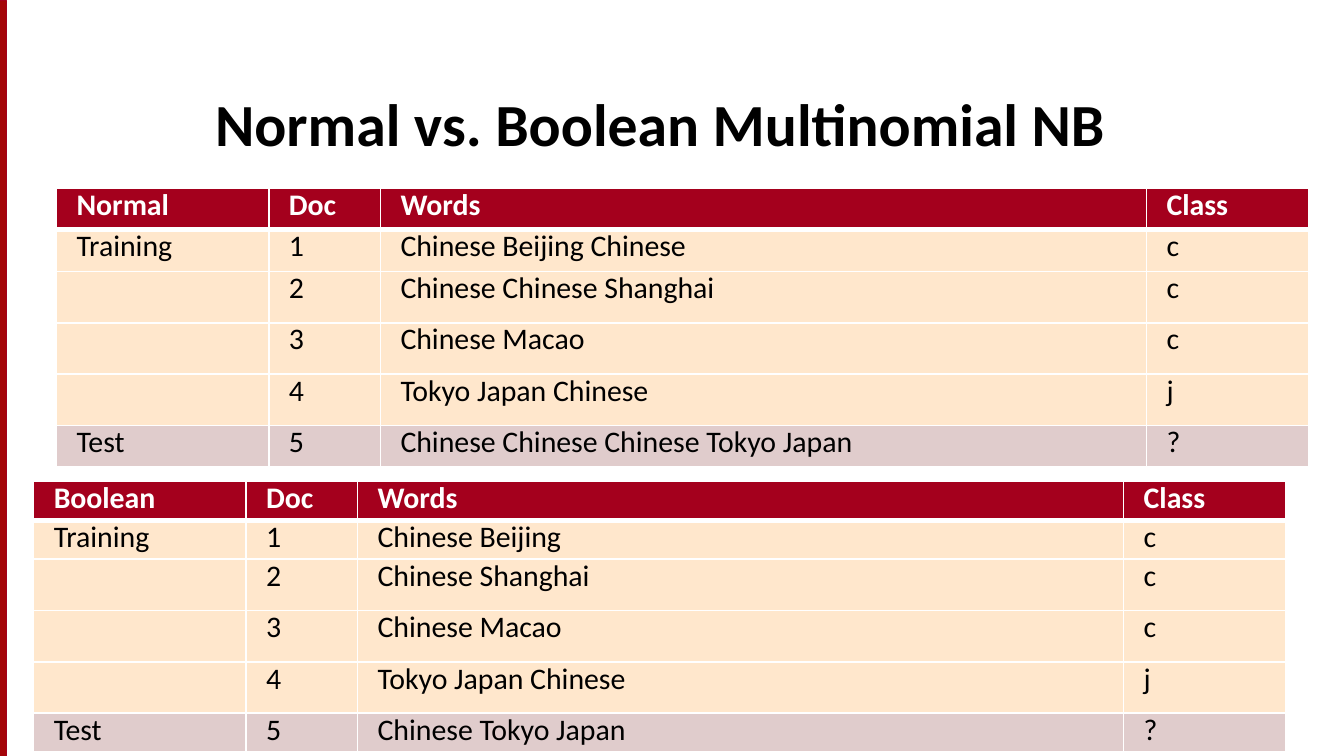
"""Build a slide that sets normal and Boolean multinomial NB data side by side."""
from lxml.etree import SubElement as Sub
from pptx import Presentation
from pptx.dml.color import RGBColor
from pptx.enum.shapes import MSO_SHAPE as Shape
from pptx.enum.text import MSO_ANCHOR as Anchor, PP_ALIGN as Align
from pptx.oxml.ns import qn
from pptx.util import Inches, Pt

RED = RGBColor(0xA4, 0x00, 0x1D)
BAR = RGBColor(0xA4, 0x05, 0x08)
CREAM = RGBColor(0xFF, 0xE7, 0xCC)
ROSE = RGBColor(0xE0, 0xCC, 0xCC)
BLACK = RGBColor(0x00, 0x00, 0x00)
WHITE = RGBColor(0xFF, 0xFF, 0xFF)

COLS = [1.58, 0.83, 5.7, 1.21]
LABELS = ["Training", "", "", "", "Test"]
MARKS = ["c", "c", "c", "j", "?"]
TABLES = [
    ("Normal", 0.42, 1.4, 0.31, [
        "Chinese Beijing Chinese", "Chinese Chinese Shanghai", "Chinese Macao",
        "Tokyo Japan Chinese", "Chinese Chinese Chinese Tokyo Japan"]),
    ("Boolean", 0.25, 3.58, 0.28, [
        "Chinese Beijing", "Chinese Shanghai", "Chinese Macao",
        "Tokyo Japan Chinese", "Chinese Tokyo Japan"]),
]


def add_run(para, text, size, color, bold):
    run = para.add_run()
    run.text = text
    font = run.font
    font.name, font.size, font.bold = "Calibri", Pt(size), bold
    font.color.rgb = color


def add_edge(cell, side, width):
    line = Sub(cell._tc.get_or_add_tcPr(), qn("a:" + side), w=str(Pt(width)))
    Sub(Sub(line, qn("a:solidFill")), qn("a:srgbClr"), val=str(WHITE))


prs = Presentation()
prs.slide_width = Inches(10)
prs.slide_height = prs.slide_width * 9 // 16
slide = prs.slides.add_slide(prs.slide_layouts[5])

bar = slide.shapes.add_shape(
    Shape.RECTANGLE, Inches(-2.79), Inches(2.79), prs.slide_height, Inches(0.05))
bar.rotation = 90
bar.shadow.inherit = False
bar.fill.solid()
bar.fill.fore_color.rgb = BAR
bar.line.color.rgb = RED
bar.line.width = Pt(0.75)

title = slide.shapes.title
title.left, title.top = Inches(1.5), Inches(0.42)
title.width, title.height = Inches(8.17), Inches(0.81)
title.text_frame.vertical_anchor = Anchor.BOTTOM
head = title.text_frame.paragraphs[0]
head.alignment = Align.LEFT
add_run(head, "Normal vs. Boolean Multinomial NB", 32, BLACK, True)

for name, left, top, high, words in TABLES:
    rows = [(name, "Doc", "Words", "Class")]
    rows += zip(LABELS, "12345", words, MARKS)
    table = slide.shapes.add_table(
        len(rows), len(COLS), Inches(left), Inches(top),
        Inches(sum(COLS)), Inches(high * len(rows))).table
    for col, wide in zip(table.columns, COLS):
        col.width = Inches(wide)
    for r, row in enumerate(rows):
        table.rows[r].height = Inches(high)
        fill = RED if r == 0 else ROSE if row[0] == "Test" else CREAM
        for c, text in enumerate(row):
            cell = table.cell(r, c)
            cell.margin_left = cell.margin_right = Inches(0.15)
            cell.margin_top = Inches(0.05)
            cell.margin_bottom = Inches(0.05 if text else 0.06)
            for side in ("lnL", "lnR", "lnT", "lnB"):
                thick = (r, side) in [(0, "lnB"), (1, "lnT")]
                add_edge(cell, side, 3 if thick else 0.96)
            cell.fill.solid()
            cell.fill.fore_color.rgb = fill
            para = cell.text_frame.paragraphs[0]
            para.line_spacing = 0.7
            if text:
                add_run(para, text, 16, BLACK if r else WHITE, r == 0)
            else:
                Sub(para._p, qn("a:endParaRPr"), sz="1600")

prs.save("out.pptx")
